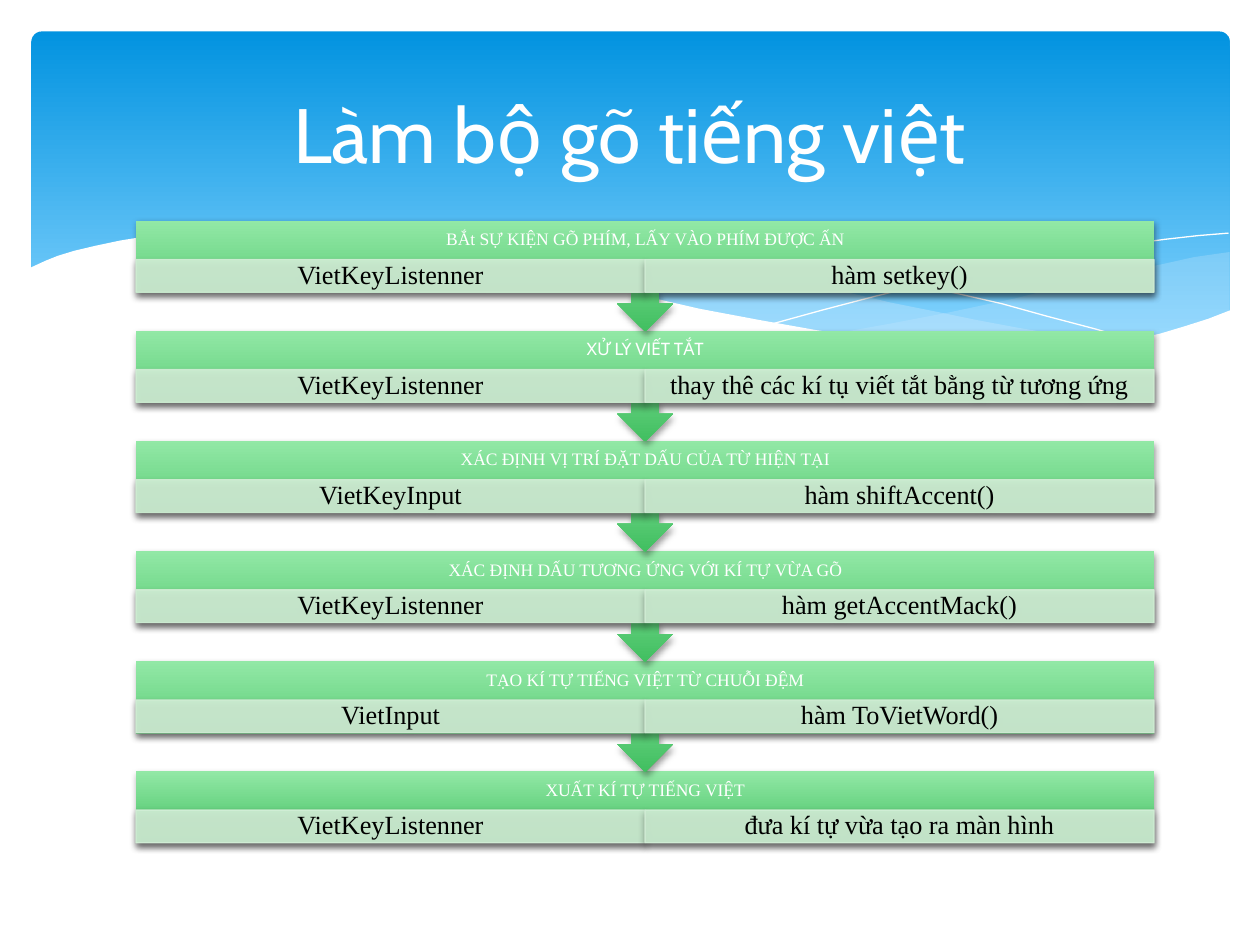
from lxml import etree
from pptx import Presentation
from pptx.dml.color import RGBColor
from pptx.enum.shapes import MSO_SHAPE
from pptx.enum.text import MSO_ANCHOR, PP_ALIGN
from pptx.oxml.ns import qn
from pptx.util import Inches, Pt

RECTANGLE = MSO_SHAPE.RECTANGLE
ROUNDED = MSO_SHAPE.ROUNDED_RECTANGLE
CALLOUT = MSO_SHAPE.UP_ARROW_CALLOUT
MIDDLE = MSO_ANCHOR.MIDDLE
CENTER = PP_ALIGN.CENTER

SERIF = "Times New Roman"
SANS = "Cabin"
WHITE = "FFFFFF"
SKY = [(0, "0293E0"), (0.9, "83D3FE")]
GREEN = [(0, "92E8A6"), (1, "41BF60")]
PALE_GREEN = "D2EED6"
PALE_BLUE = "C6E7FC"

LEFT, WIDTH = 1.08, 8.08
FIRST_TOP, LAST_TOP = 1.75, 6.12
HEADER_HEIGHT, CELL_HEIGHT = 0.31, 0.26
BLOCK_HEIGHT, CALLOUT_HEIGHT = 0.57, 0.88

STEPS = [
    ("BẮt SỰ KIỆN GÕ PHÍM, LẤY VÀO PHÍM ĐƯỢC ẤN", SERIF,
     "VietKeyListenner", "hàm setkey()"),
    ("XỬ LÝ VIẾT TẮT", SANS,
     "VietKeyListenner", "thay thê các kí tụ viết tắt bằng từ tương ứng"),
    ("XÁC ĐỊNH VỊ TRÍ ĐẶT DẤU CỦA TỪ HIỆN TẠI", SERIF,
     "VietKeyInput", "hàm shiftAccent()"),
    ("XÁC ĐỊNH DẤU TƯƠNG ỨNG VỚI KÍ TỰ VỪA GÕ", SERIF,
     "VietKeyListenner", "hàm getAccentMack()"),
    ("TẠO KÍ TỰ TIẾNG VIỆT TỪ CHUỖI ĐỆM", SERIF,
     "VietInput", "hàm ToVietWord()"),
    ("XUẤT KÍ TỰ TIẾNG VIỆT", SERIF,
     "VietKeyListenner", "đưa kí tự vừa tạo ra màn hình"),
]

RIGHT_WAVE = [
    (9.76, 2), (9.48, 2.04), (9.21, 2.1), (8.91, 2.16), (8.61, 2.23),
    (8.05, 2.37), (7.53, 2.48), (7.06, 2.57), (6.61, 2.65), (6.91, 2.69),
    (7.19, 2.72), (7.45, 2.75), (7.69, 2.77), (8.03, 2.78), (8.35, 2.77),
    (8.63, 2.75), (8.89, 2.72), (9.13, 2.67), (9.35, 2.62), (9.49, 2.57),
    (9.63, 2.52), (9.76, 2.47)]
LONG_WAVE = [
    (8.93, 2.73), (8.66, 2.69), (8.37, 2.65), (8.07, 2.6), (7.75, 2.54),
    (7.41, 2.47), (7.06, 2.4), (6.68, 2.31), (6.29, 2.22), (5.98, 2.14),
    (5.69, 2.08), (5.41, 2.03), (5.14, 1.98), (4.89, 1.94), (4.65, 1.91),
    (4.42, 1.89), (4.2, 1.87), (3.8, 1.85), (3.44, 1.86), (3.13, 1.88),
    (2.86, 1.91), (3.23, 1.96), (3.62, 2.03), (4.04, 2.11), (4.49, 2.22),
    (4.91, 2.32), (5.3, 2.4), (5.66, 2.48), (6.01, 2.55), (6.34, 2.61),
    (6.65, 2.66), (6.95, 2.7), (7.22, 2.74), (7.48, 2.76), (7.85, 2.78),
    (8.28, 2.78), (8.57, 2.77), (8.76, 2.75)]
FALLING_CURVE = [
    (3.09, 1.95), (3.28, 1.92), (3.44, 1.9), (3.63, 1.89), (3.87, 1.87),
    (4.16, 1.87), (4.5, 1.88), (4.89, 1.9), (5.33, 1.94), (5.56, 1.97),
    (5.82, 2), (6.08, 2.04), (6.36, 2.08), (6.65, 2.13), (6.95, 2.19),
    (7.27, 2.26), (7.6, 2.33), (7.95, 2.41), (8.31, 2.51), (8.69, 2.61),
    (9.07, 2.72)]
RISING_CURVE = [
    (6.13, 2.57), (6.53, 2.46), (6.95, 2.35), (7.2, 2.29), (7.48, 2.23),
    (7.76, 2.16), (8.06, 2.1), (8.36, 2.04), (8.66, 1.99), (8.95, 1.94),
    (9.24, 1.9), (9.51, 1.87), (9.75, 1.85)]
WHITE_WAVE = [
    (9.77, 2.46), (9.59, 2.53), (9.4, 2.59), (9.2, 2.65), (8.99, 2.69),
    (8.75, 2.73), (8.5, 2.75), (8.23, 2.77), (7.93, 2.76), (7.61, 2.75),
    (7.26, 2.72), (6.88, 2.68), (6.48, 2.62), (6.03, 2.54), (5.55, 2.45),
    (5.03, 2.33), (4.47, 2.2), (4.18, 2.13), (3.91, 2.07), (3.65, 2.02),
    (3.4, 1.97), (3.16, 1.94), (2.92, 1.9), (2.71, 1.88), (2.5, 1.86),
    (2.11, 1.84), (1.77, 1.84), (1.46, 1.85), (1.19, 1.87), (0.95, 1.91),
    (0.76, 1.95), (0.59, 1.99), (0.46, 2.03), (0.36, 2.07), (0.23, 2.13),
    (0.23, 3.29), (9.77, 3.29)]


def color(value):
    return RGBColor.from_string(value)


def set_opacity(shape, percent):
    for tint in shape.element.spPr.iter(qn("a:srgbClr")):
        etree.SubElement(tint, qn("a:alpha"), val=str(percent * 1000))


def add_shadow(shape):
    effects = shape.element.spPr.find(qn("a:effectLst"))
    shadow = etree.SubElement(
        effects, qn("a:outerShdw"), blurRad=str(Pt(4)), dist=str(Pt(2)),
        dir="5400000", rotWithShape="0")
    tint = etree.SubElement(shadow, qn("a:srgbClr"), val="000000")
    etree.SubElement(tint, qn("a:alpha"), val="38000")


def add_block(page, kind, left, top, width, height, stops=None):
    shape = page.shapes.add_shape(
        kind, Inches(left), Inches(top), Inches(width), Inches(height))
    shape.shadow.inherit = False
    shape.line.fill.background()
    if stops:
        shape.fill.gradient()
        shape.fill.gradient_angle = 270
        for stop, (position, value) in zip(shape.fill.gradient_stops, stops):
            stop.position = position
            stop.color.rgb = color(value)
        shape.element.spPr.find(qn("a:gradFill")).set("rotWithShape", "0")
    return shape


def add_outline(page, points, fill=None, opacity=100):
    start, *rest = [(Inches(x), Inches(y)) for x, y in points]
    builder = page.shapes.build_freeform(*start)
    builder.add_line_segments(rest, close=fill is not None)
    shape = builder.convert_to_shape()
    shape.shadow.inherit = False
    if fill:
        shape.fill.solid()
        shape.fill.fore_color.rgb = color(fill)
        shape.line.fill.background()
    else:
        shape.fill.background()
        shape.line.color.rgb = color(WHITE)
        shape.line.width = Pt(0)
    if opacity < 100:
        set_opacity(shape, opacity)


def write_text(box, text, size, font=SERIF, fill=WHITE, side=0.1, edge=0.05,
               spacing=0.9):
    frame = box.text_frame
    frame.word_wrap = True
    frame.vertical_anchor = MIDDLE
    frame.margin_left = frame.margin_right = Inches(side)
    frame.margin_top = frame.margin_bottom = Inches(edge)
    para = frame.paragraphs[0]
    para.alignment = CENTER
    para.line_spacing = spacing
    span = para.add_run()
    span.text = text
    span.font.name = font
    span.font.size = Pt(size)
    span.font.color.rgb = color(fill)


def add_label(page, text, left, top, width, height, **style):
    box = page.shapes.add_textbox(
        Inches(left), Inches(top), Inches(width), Inches(height))
    write_text(box, text, **style)


def add_cell(page, text, left, top):
    cell = add_block(page, RECTANGLE, left, top, WIDTH / 2, CELL_HEIGHT)
    cell.fill.solid()
    cell.fill.fore_color.rgb = color(PALE_GREEN)
    cell.line.color.rgb = color(PALE_GREEN)
    cell.line.width = Pt(0.75)
    set_opacity(cell, 90)
    add_shadow(cell)
    write_text(cell, text, size=15, fill="000000", side=0.12, edge=0.02)


def add_step(page, top, step, is_last):
    heading, font, *details = step
    if is_last:
        block = add_block(page, RECTANGLE, LEFT, top, WIDTH, BLOCK_HEIGHT, GREEN)
    else:
        block = add_block(page, CALLOUT, LEFT, top, WIDTH, CALLOUT_HEIGHT, GREEN)
        block.rotation = 180
    add_shadow(block)
    add_label(page, heading, LEFT, top, WIDTH, HEADER_HEIGHT,
              size=10, font=font, side=0.08, edge=0.08)
    for column, detail in enumerate(details):
        add_cell(page, detail, LEFT + column * WIDTH / 2, top + HEADER_HEIGHT)


def add_backdrop(page):
    panel = add_block(page, ROUNDED, 0.25, 0.25, 9.51, 2.7, SKY)
    panel.adjustments[0] = 0.03
    add_outline(page, RIGHT_WAVE, fill=PALE_BLUE, opacity=29)
    add_outline(page, LONG_WAVE, fill=PALE_BLUE, opacity=40)
    add_outline(page, FALLING_CURVE)
    add_outline(page, RISING_CURVE)
    add_outline(page, WHITE_WAVE, fill=WHITE)


def main():
    deck = Presentation()
    deck.slide_width, deck.slide_height = Inches(10), Inches(7.5)
    page = deck.slides.add_slide(deck.slide_layouts[6])
    add_backdrop(page)
    last = len(STEPS) - 1
    pitch = (LAST_TOP - FIRST_TOP) / last
    for index, step in reversed(list(enumerate(STEPS))):
        add_step(page, FIRST_TOP + index * pitch, step, index == last)
    add_label(page, "Làm bộ gõ tiếng việt", 0.5, 0.37, 9, 1.37,
              size=44, font=SANS, spacing=1.0)
    deck.save("out.pptx")


if __name__ == "__main__":
    main()
